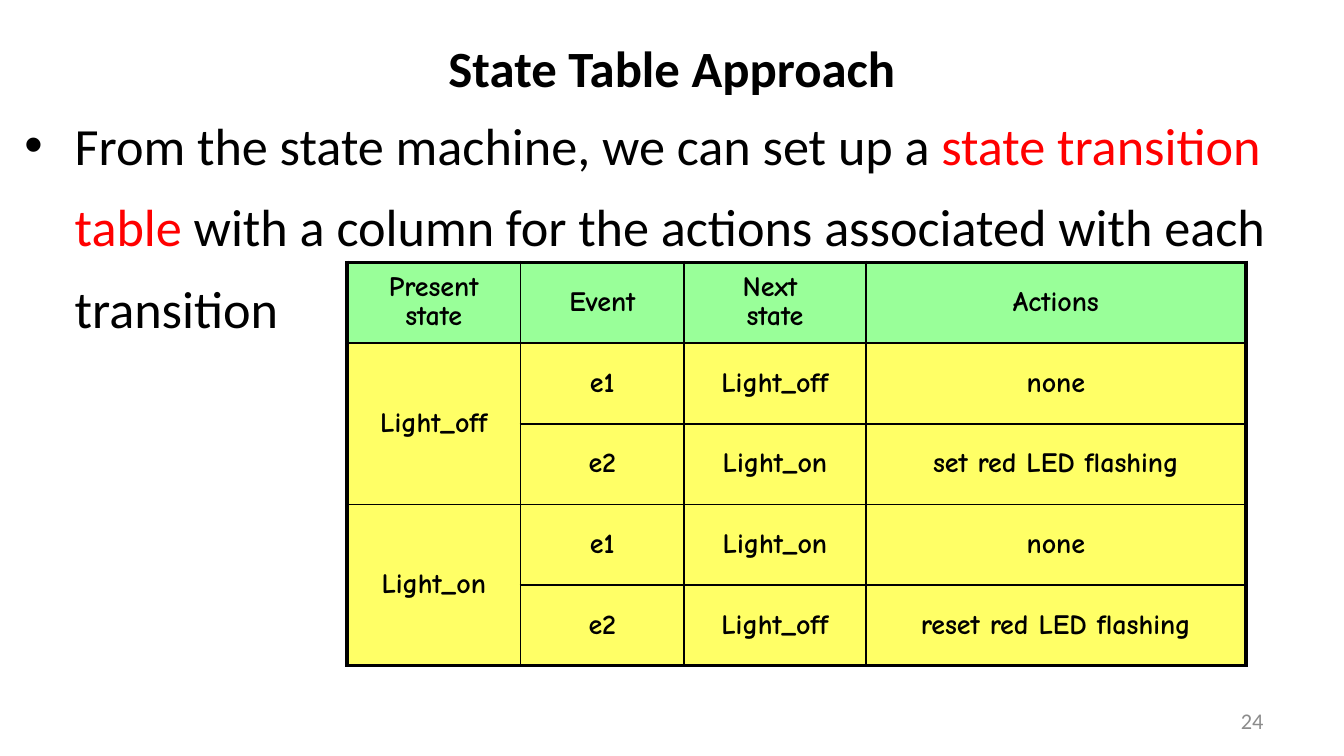
from dataclasses import dataclass

from lxml.etree import SubElement
from pptx import Presentation
from pptx.dml.color import RGBColor as RGB
from pptx.enum.text import MSO_ANCHOR as Anchor
from pptx.enum.text import MSO_AUTO_SIZE as AutoSize
from pptx.enum.text import PP_ALIGN as Align
from pptx.oxml.ns import qn
from pptx.util import Pt


@dataclass(frozen=True)
class Theme:
    ink: str = "000000"
    accent: str = "FF0000"
    muted: str = "8C8C8C"
    header_fill: str = "99FF99"
    state_fill: str = "FFFF66"
    text_font: str = "Calibri"
    table_font: str = "Comic Neue"
    title_size: float = 27.2
    body_size: float = 28
    table_size: float = 15
    number_size: float = 12
    outer_line: float = 2.25
    inner_line: float = 1


THEME = Theme()
COLUMN_WIDTHS = (92.8, 87.8, 97.2, 203.8)
ROW_HEIGHT = 43.2
TRANSITIONS = (
    ("Present state", "Event", "Next \vstate", "Actions"),
    ("Light_off", "e1", "Light_off", "none"),
    (None, "e2", "Light_on", "set red LED flashing"),
    ("Light_on", "e1", "Light_on", "none"),
    (None, "e2", "Light_off", "reset red LED flashing"),
)


def apply(target, formats):
    for attribute, value in formats.items():
        setattr(target, attribute, value)


def place(shape, left, top, width, height):
    apply(shape, {"left": Pt(left), "top": Pt(top),
                  "width": Pt(width), "height": Pt(height)})


def style_font(font, name, size, color=THEME.ink, bold=False):
    apply(font, {"name": name, "size": Pt(size), "bold": bold})
    font.color.rgb = RGB.from_string(color)


def write_line(frame, text, align, font):
    frame.text = text
    line = frame.paragraphs[0]
    line.alignment = align
    for run in line.runs:
        style_font(run.font, **font)
    return line


def fill_title(title):
    place(title, 129.6, 12.2, 460.8, 47.5)
    frame = title.text_frame
    apply(frame, {"auto_size": AutoSize.NONE, "vertical_anchor": Anchor.MIDDLE})
    write_line(frame, "State Table Approach", Align.CENTER,
               {"name": THEME.text_font, "size": THEME.title_size, "bold": True})


def fill_body(body):
    place(body, 5.8, 46.8, 696, 311)
    frame = body.text_frame
    apply(frame, {"auto_size": AutoSize.NONE, "vertical_anchor": Anchor.TOP})
    statement = frame.paragraphs[0]
    apply(statement, {"line_spacing": 1.3, "space_before": Pt(8.2),
                      "alignment": Align.LEFT})
    for text, color in (
        ("From the state machine, we can set up a ", THEME.ink),
        ("state transition table", THEME.accent),
        (" with a column for the actions associated with each transition", THEME.ink),
    ):
        run = statement.add_run()
        run.text = text
        style_font(run.font, THEME.text_font, THEME.body_size, color)
    properties = statement._p.get_or_add_pPr()
    properties.set("marL", str(Pt(27)))
    properties.set("indent", str(Pt(-27)))
    SubElement(properties, qn("a:buFont"), typeface="Arial")
    SubElement(properties, qn("a:buChar"), char="•")


def draw_borders(cell, outer_sides):
    properties = cell._tc.get_or_add_tcPr()
    for side, is_outer in outer_sides.items():
        width = THEME.outer_line if is_outer else THEME.inner_line
        line = SubElement(properties, qn(f"a:ln{side}"), w=str(Pt(width)))
        SubElement(SubElement(line, qn("a:solidFill")), qn("a:srgbClr"), val=THEME.ink)


def fill_cell(cell, text, fill):
    cell.fill.solid()
    cell.fill.fore_color.rgb = RGB.from_string(fill)
    apply(cell, {"vertical_anchor": Anchor.MIDDLE,
                 "margin_left": Pt(6), "margin_right": Pt(6),
                 "margin_top": Pt(3), "margin_bottom": Pt(3)})
    if text:
        line = write_line(cell.text_frame, text, Align.CENTER,
                          {"name": THEME.table_font, "size": THEME.table_size,
                           "bold": True})
        apply(line, {"line_spacing": 0.9, "space_before": Pt(1.5)})


def add_transition_table(slide):
    row_count, column_count = len(TRANSITIONS), len(COLUMN_WIDTHS)
    table = slide.shapes.add_table(
        row_count, column_count, Pt(186), Pt(140.6),
        Pt(sum(COLUMN_WIDTHS)), Pt(row_count * ROW_HEIGHT)).table
    apply(table, {"first_row": False, "horz_banding": False})
    for column, width in zip(table.columns, COLUMN_WIDTHS):
        column.width = Pt(width)
    for row in table.rows:
        row.height = Pt(ROW_HEIGHT)
    for top in (1, 3):
        table.cell(top, 0).merge(table.cell(top + 1, 0))
    for r, texts in enumerate(TRANSITIONS):
        for c, text in enumerate(texts):
            cell = table.cell(r, c)
            span = cell.span_height if cell.is_merge_origin else 1
            draw_borders(cell, {"L": c == 0, "R": c == column_count - 1,
                                "T": r == 0, "B": r + span == row_count})
            fill_cell(cell, text, THEME.state_fill if r else THEME.header_fill)


def add_slide_number(slide):
    frame = slide.shapes.add_textbox(Pt(516.2), Pt(375.1), Pt(167.8), Pt(21.6)).text_frame
    apply(frame, {"word_wrap": True, "vertical_anchor": Anchor.MIDDLE})
    write_line(frame, "24", Align.RIGHT,
               {"name": THEME.text_font, "size": THEME.number_size,
                "color": THEME.muted})


def main():
    deck = Presentation()
    apply(deck, {"slide_width": Pt(720), "slide_height": Pt(405)})
    slide = deck.slides.add_slide(deck.slide_layouts[1])
    fill_title(slide.shapes.title)
    fill_body(slide.placeholders[1])
    add_transition_table(slide)
    add_slide_number(slide)
    deck.save("out.pptx")


if __name__ == "__main__":
    main()
